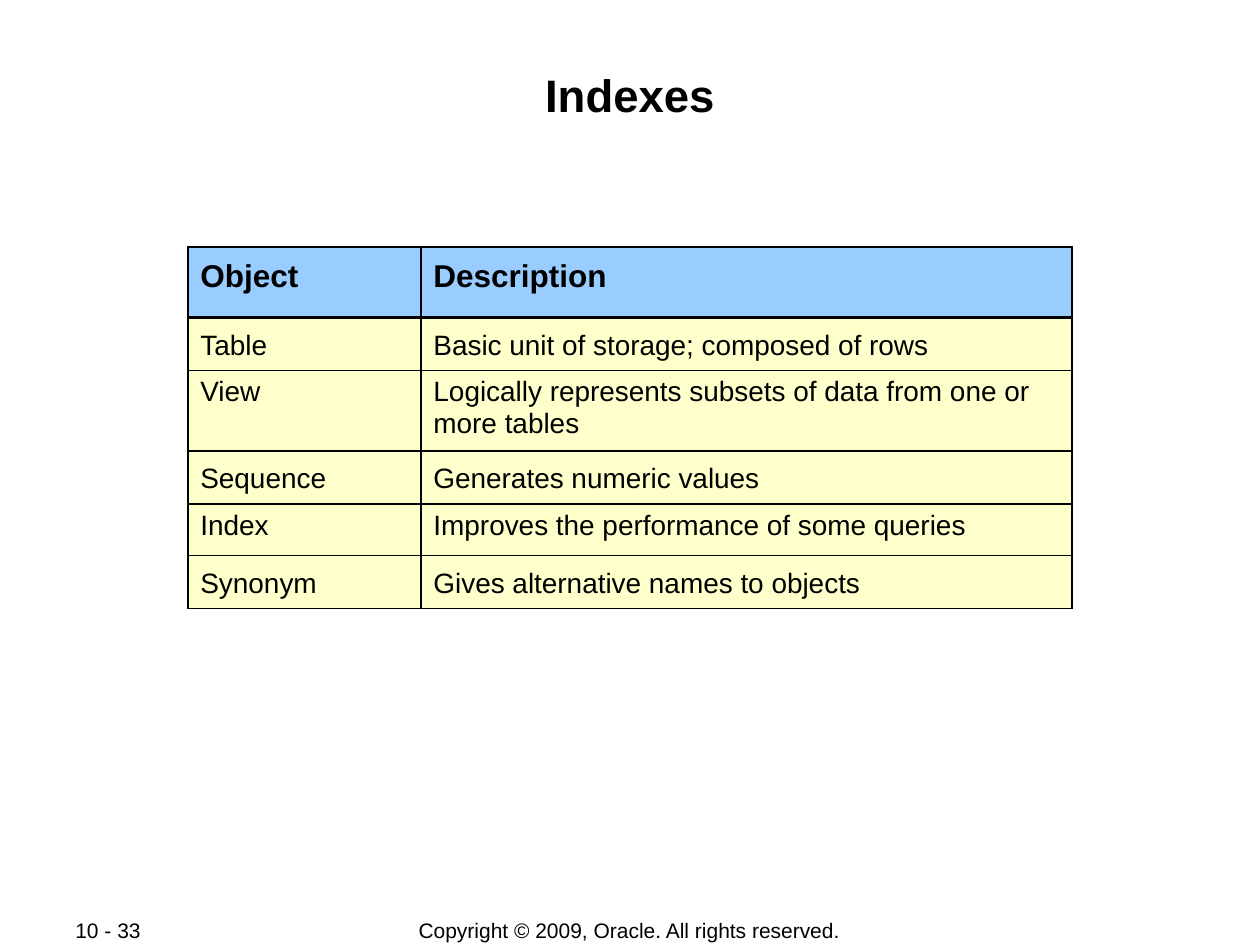
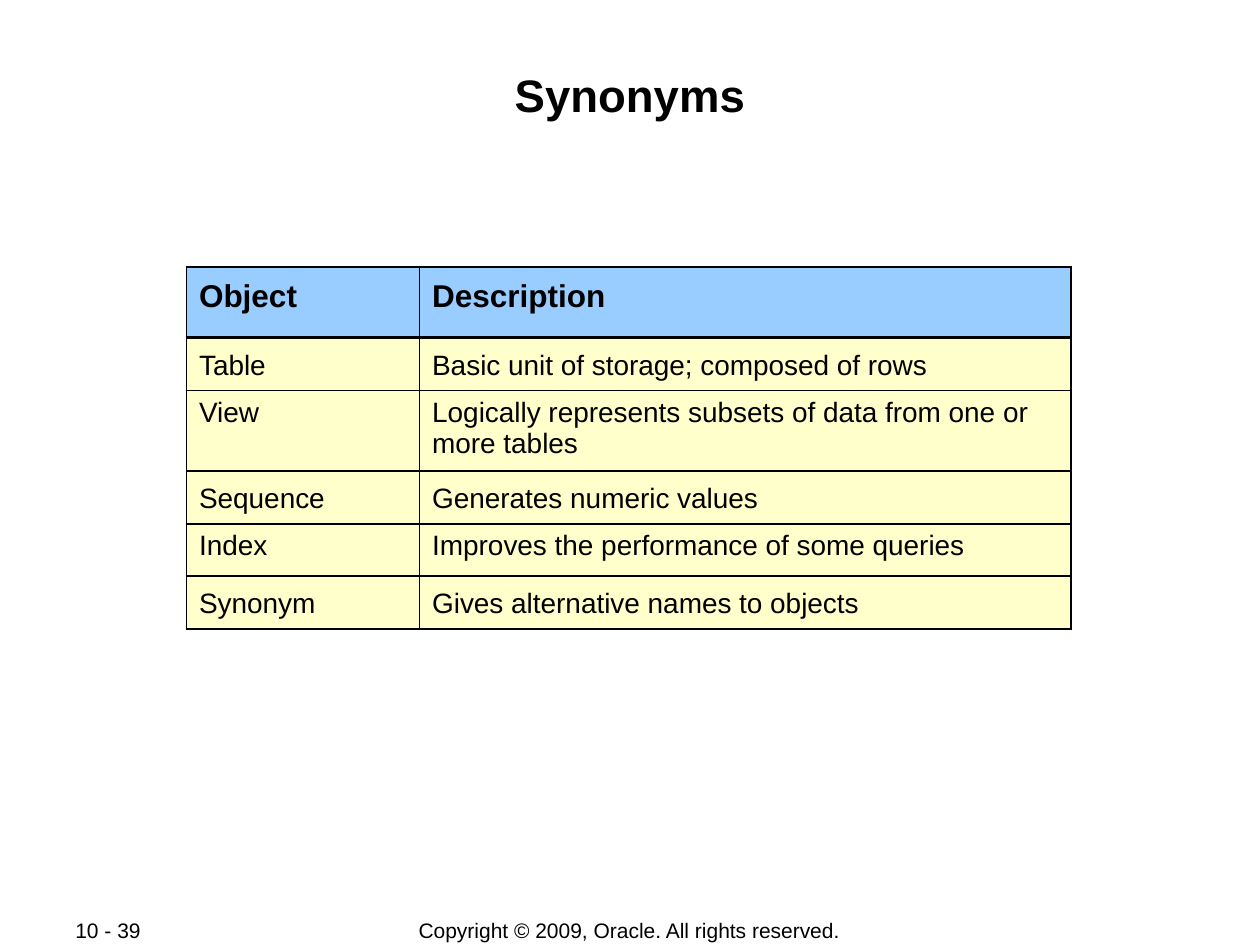
from dataclasses import dataclass

from lxml.etree import SubElement
from pptx import Presentation
from pptx.dml.color import RGBColor
from pptx.enum.text import MSO_ANCHOR, PP_ALIGN
from pptx.oxml.ns import qn
from pptx.slide import Slide
from pptx.table import _Cell
from pptx.text.text import _Paragraph
from pptx.util import Inches, Pt


@dataclass(frozen=True)
class Theme:
    font: str = "Arial"
    ink: str = "000000"
    header_fill: str = "99CCFF"
    body_fill: str = "FFFFCC"
    title_size: float = 26
    header_size: float = 18
    body_size: float = 16
    footer_size: float = 12
    thin_rule: float = 1.08
    thick_rule: float = 2.21


@dataclass(frozen=True)
class TextArea:
    left: float
    top: float
    width: float
    height: float
    size: float
    align: PP_ALIGN
    anchor: MSO_ANCHOR
    side_inset: float
    end_inset: float = 0.05
    bold: bool = False


@dataclass(frozen=True)
class ObjectRow:
    name: str
    description: str
    height: float
    line_spacing: float


@dataclass(frozen=True)
class ObjectSlide:
    title: str
    page: str
    table_left: float
    table_top: float


THEME = Theme()

# Areas shared by the slides
TITLE = TextArea(0.67, 0.48, 8.66, 0.96, THEME.title_size,
                 PP_ALIGN.CENTER, MSO_ANCHOR.TOP, 0.01, bold=True)
COPYRIGHT = TextArea(2.75, 7.28, 4.49, 0.21, THEME.footer_size,
                     PP_ALIGN.CENTER, MSO_ANCHOR.MIDDLE, 0.1)
PAGE = TextArea(0.5, 7.28, 1.06, 0.2, THEME.footer_size,
                PP_ALIGN.LEFT, MSO_ANCHOR.MIDDLE, 0.1)
COPYRIGHT_TEXT = "Copyright © 2009, Oracle. All rights reserved."

# Database objects, with the heading first
COLUMN_WIDTHS = (1.85, 5.17)
OBJECT_ROWS = (
    ObjectRow("Object", "Description", 0.56, 1.15),
    ObjectRow("Table", "Basic unit of storage; composed of rows", 0.42, 1.2),
    ObjectRow("View", "Logically represents subsets of data from one or more tables", 0.64, 1.0),
    ObjectRow("Sequence", "Generates numeric values", 0.42, 1.2),
    ObjectRow("Index", "Improves the performance of some queries", 0.41, 1.0),
    ObjectRow("Synonym", "Gives alternative names to objects", 0.42, 1.2),
)

SLIDES = (
    ObjectSlide("Indexes", "10 - 33", 1.49, 1.96),
    ObjectSlide("Synonyms", "10 - 39", 1.48, 2.12),
)


def style_paragraph(paragraph: _Paragraph, size: float, bold: bool) -> None:
    paragraph.font.name = THEME.font
    paragraph.font.size = Pt(size)
    paragraph.font.bold = bold
    paragraph.font.color.rgb = RGBColor.from_string(THEME.ink)


def add_text(slide: Slide, area: TextArea, text: str) -> None:
    frame = slide.shapes.add_textbox(
        Inches(area.left), Inches(area.top), Inches(area.width), Inches(area.height)
    ).text_frame
    frame.word_wrap = True
    frame.vertical_anchor = area.anchor
    frame.margin_left = frame.margin_right = Inches(area.side_inset)
    frame.margin_top = frame.margin_bottom = Inches(area.end_inset)
    paragraph = frame.paragraphs[0]
    paragraph.text = text
    paragraph.alignment = area.align
    style_paragraph(paragraph, area.size, area.bold)


def set_borders(cell: _Cell, top: float, bottom: float) -> None:
    properties = cell._tc.get_or_add_tcPr()
    widths = {"lnL": THEME.thin_rule, "lnR": THEME.thin_rule, "lnT": top, "lnB": bottom}
    for side, width in widths.items():
        border = SubElement(properties, qn(f"a:{side}"), w=str(Pt(width)))
        fill = SubElement(border, qn("a:solidFill"))
        SubElement(fill, qn("a:srgbClr"), val=THEME.ink)


def fill_cell(cell: _Cell, text: str, line_spacing: float, row_index: int) -> None:
    is_header = row_index == 0
    # The thick rule runs between the heading and the first object
    set_borders(
        cell,
        top=THEME.thick_rule if row_index == 1 else THEME.thin_rule,
        bottom=THEME.thick_rule if is_header else THEME.thin_rule,
    )
    cell.fill.solid()
    cell.fill.fore_color.rgb = RGBColor.from_string(
        THEME.header_fill if is_header else THEME.body_fill
    )
    cell.margin_left = cell.margin_right = Inches(0.1)
    cell.margin_top = cell.margin_bottom = Inches(0.05)
    paragraph = cell.text_frame.paragraphs[0]
    paragraph.text = text
    paragraph.line_spacing = line_spacing
    style_paragraph(paragraph, THEME.header_size if is_header else THEME.body_size, is_header)


def add_object_table(slide: Slide, left: float, top: float) -> None:
    objects = slide.shapes.add_table(
        len(OBJECT_ROWS), len(COLUMN_WIDTHS), Inches(left), Inches(top),
        Inches(sum(COLUMN_WIDTHS)), Inches(sum(row.height for row in OBJECT_ROWS)),
    ).table
    objects.first_row = objects.horz_banding = False
    for column, width in zip(objects.columns, COLUMN_WIDTHS):
        column.width = Inches(width)
    for row_index, row in enumerate(OBJECT_ROWS):
        objects.rows[row_index].height = Inches(row.height)
        for column_index, text in enumerate((row.name, row.description)):
            fill_cell(objects.cell(row_index, column_index), text, row.line_spacing, row_index)


def main() -> None:
    presentation = Presentation()
    presentation.slide_width = Inches(10)
    presentation.slide_height = Inches(7.5)
    blank = presentation.slide_layouts[6]
    for content in SLIDES:
        slide = presentation.slides.add_slide(blank)
        add_text(slide, COPYRIGHT, COPYRIGHT_TEXT)
        add_text(slide, PAGE, content.page)
        add_text(slide, TITLE, content.title)
        add_object_table(slide, content.table_left, content.table_top)
    presentation.save("out.pptx")


if __name__ == "__main__":
    main()
